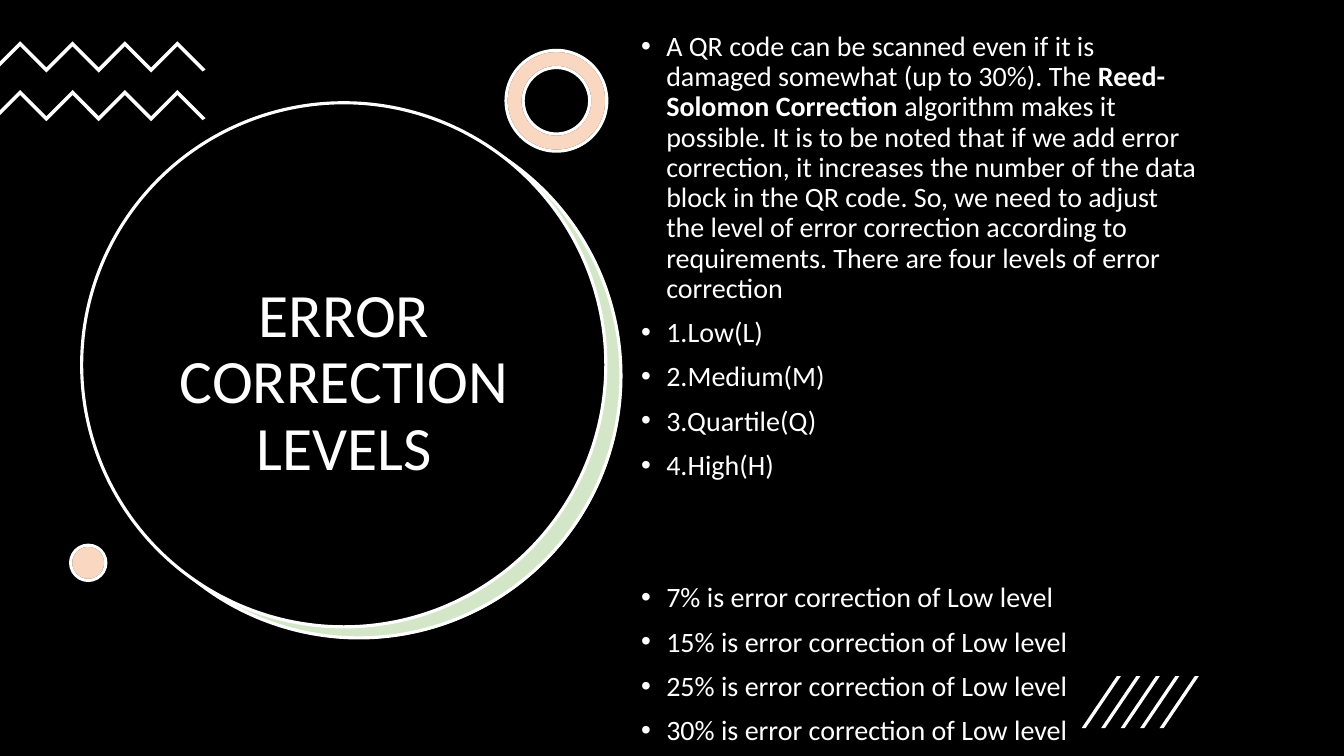
from dataclasses import dataclass

from lxml.etree import SubElement as Sub
from pptx import Presentation as Deck
from pptx.dml.color import RGBColor as Rgb
from pptx.enum.shapes import MSO_SHAPE as Form
from pptx.enum.text import MSO_ANCHOR as Anchor, MSO_AUTO_SIZE as Fit, PP_ALIGN as Align
from pptx.oxml.ns import qn
from pptx.util import Inches, Pt


@dataclass(frozen=True)
class Theme:
    """Colours, type sizes and the grid cell, 40 to the slide's width."""
    black: str = "000000"
    white: str = "FFFFFF"
    green: str = "70AD47"
    peach: str = "ED7D31"
    font: str = "Calibri"
    head: int = 44
    text: int = 20
    line: float = 2.25
    tint: int = 30
    cell: int = Inches(13.33) // 40


T = Theme()
LEAD = [
    ("A QR code can be scanned even if it is damaged somewhat (up to 30%). The ", False),
    ("Reed-Solomon Correction", True),
    (" algorithm makes it possible. It is to be noted that if we add error "
     "correction, it increases the number of the data block in the QR code. So, "
     "we need to adjust the level of error correction according to requirements. "
     "There are four levels of error correction", False),
]
LEVELS = ["1.Low(L)", "2.Medium(M)", "3.Quartile(Q)", "4.High(H)"]
RATES = [f"{rate}% is error correction of Low level" for rate in (7, 15, 25, 30)]


def grid(*cells):
    """Turn grid cells into slide lengths."""
    return [round(n * T.cell) for n in cells]


def paint(shape, fill, line=None, tint=None):
    """Fill and outline a shape, with an optional opacity in percent."""
    shape.shadow.inherit = False
    shape.fill.solid()
    shape.fill.fore_color.rgb = Rgb.from_string(fill)
    if tint:
        color = shape.element.spPr.find(qn("a:solidFill"))[0]
        Sub(color, qn("a:alpha")).set("val", str(tint * 1000))
    if line:
        shape.line.color.rgb = Rgb.from_string(line)
        shape.line.width = Pt(T.line)
    else:
        shape.line.fill.background()


def draw(shapes, form, box, *look):
    """Add a painted preset shape."""
    shape = shapes.add_shape(form, *grid(*box))
    paint(shape, *look)
    return shape


def trace(shapes, x, y, points):
    """Add a white outline whose points are relative to x, y."""
    spots = [grid(x + dx, y + dy) for dx, dy in points]
    pen = shapes.build_freeform(*spots[0])
    pen.add_line_segments(spots[1:], close=True)
    paint(pen.convert_to_shape(), T.white)


def place(holder, box):
    """Move a placeholder to its box, in front of what is drawn."""
    holder.left, holder.top, holder.width, holder.height = grid(*box)
    holder.element.getparent().append(holder.element)
    holder.text_frame.word_wrap = True
    holder.text_frame.auto_size = Fit.NONE
    return holder.text_frame


def style(para, size):
    """Set the type and line spacing of a paragraph."""
    para.line_spacing = 0.9
    para.font.name, para.font.size = T.font, Pt(size)
    para.font.color.rgb = Rgb.from_string(T.white)


def title(slide, x, y, size):
    """Draw the large disc with its crescent and the title inside."""
    for shift, drop, look in (
        (0.48, 0.36, (T.white,)),
        (0.45, 0.33, (T.green, T.white, T.tint)),
        (0, 0, (T.black, T.white)),
    ):
        draw(slide.shapes, Form.OVAL, (x + shift, y + drop, size, size), *look)
    frame = place(slide.shapes.title, (x + 1.2, y + 3.09, 13.23, 10.56))
    frame.vertical_anchor = Anchor.MIDDLE
    para = frame.paragraphs[0]
    para.text = "ERROR CORRECTION LEVELS"
    para.alignment = Align.CENTER
    style(para, T.head)


def waves(slide, x, y, gap):
    """Draw two zigzag bands, one below the other."""
    group = slide.shapes.add_group_shape().shapes
    top = [(0, 0.6)] + [(0.6 + 0.78 * i, 0.78 * (i % 2)) for i in range(7)]
    base = [(dx, dy + 0.15) for dx, dy in reversed(top)]
    for row in range(2):
        trace(group, x, y + row * gap, top + [(6.12, 0.84), (6.03, 0.9)] + base)


def badge(slide, form, x, y, size, hole=None):
    """Draw a pale round ornament in two layers."""
    for look in ((T.white, T.black), (T.peach, T.white, T.tint)):
        shape = draw(slide.shapes, form, (x, y, size, size), *look)
        if hole:
            shape.adjustments[0] = hole


def body(slide, *box):
    """Fill the bulleted list, with a wide gap before the rates."""
    frame = place(slide.placeholders[1], box)
    frame.vertical_anchor = Anchor.TOP
    items = [LEAD] + [[(text, None)] for text in LEVELS + RATES]
    for i, runs in enumerate(items):
        para = frame.add_paragraph() if i else frame.paragraphs[0]
        for text, bold in runs:
            run = para.add_run()
            run.text, run.font.bold = text, bold
        style(para, T.text)
        para.space_before = Pt(73 if i == 1 + len(LEVELS) else 10)
        props = para._p.get_or_add_pPr()
        props.set("marL", str(Inches(0.25)))
        props.set("indent", str(-Inches(0.25)))
        Sub(props, qn("a:buFont")).set("typeface", "Arial")
        Sub(props, qn("a:buChar")).set("char", "•")
        props.append(props.find(qn("a:defRPr")))


def slashes(slide, x, y, step):
    """Draw five slanted strokes at equal steps."""
    group = slide.shapes.add_group_shape().shapes
    stroke = [(0.12, 1.55), (0, 1.55), (1.05, 0), (1.17, 0)]
    for i in range(5):
        trace(group, x + i * step, y, stroke)


def main():
    """Build the slide and save it."""
    deck = Deck()
    deck.slide_width, deck.slide_height = Inches(13.33), Inches(7.5)
    slide = deck.slides.add_slide(deck.slide_layouts[1])
    draw(slide.shapes, Form.RECTANGLE, (0, 0, 40, 22.51), T.black)
    title(slide, 2.43, 3.06, 15.6)
    waves(slide, 0, 1.23, 1.45)
    badge(slide, Form.DONUT, 15.06, 1.5, 3, 0.17)
    badge(slide, Form.OVAL, 2.1, 16.23, 1.05)
    body(slide, 18.78, 0.81, 17.13, 14.28)
    slashes(slide, 32.19, 20.13, 0.58)
    deck.save("out.pptx")


if __name__ == "__main__":
    main()
